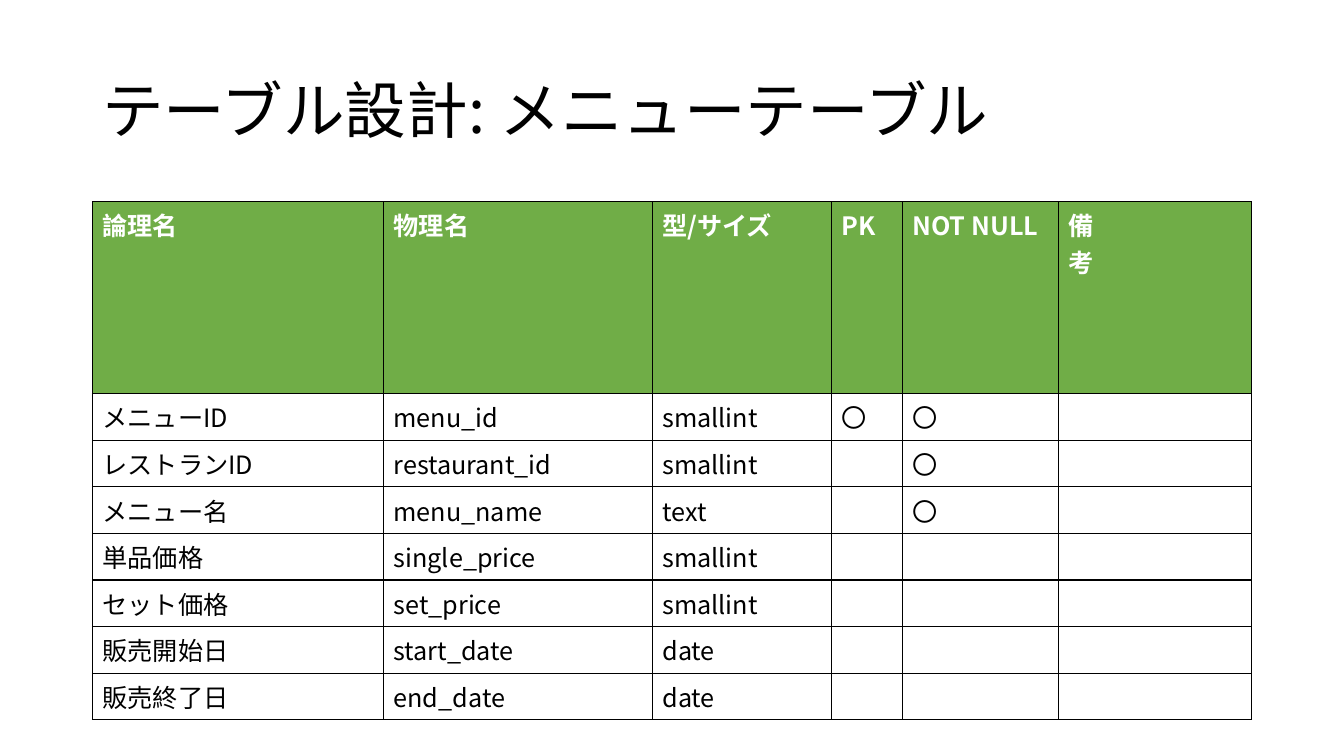
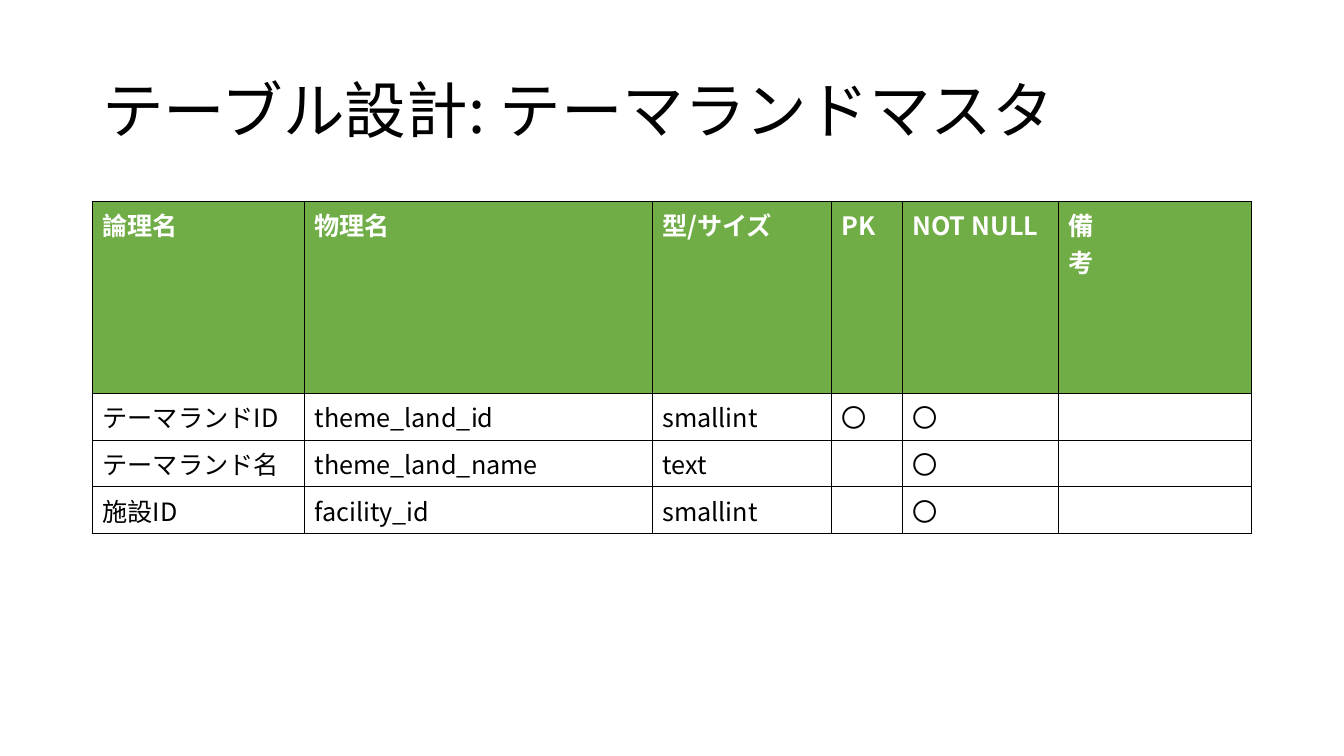
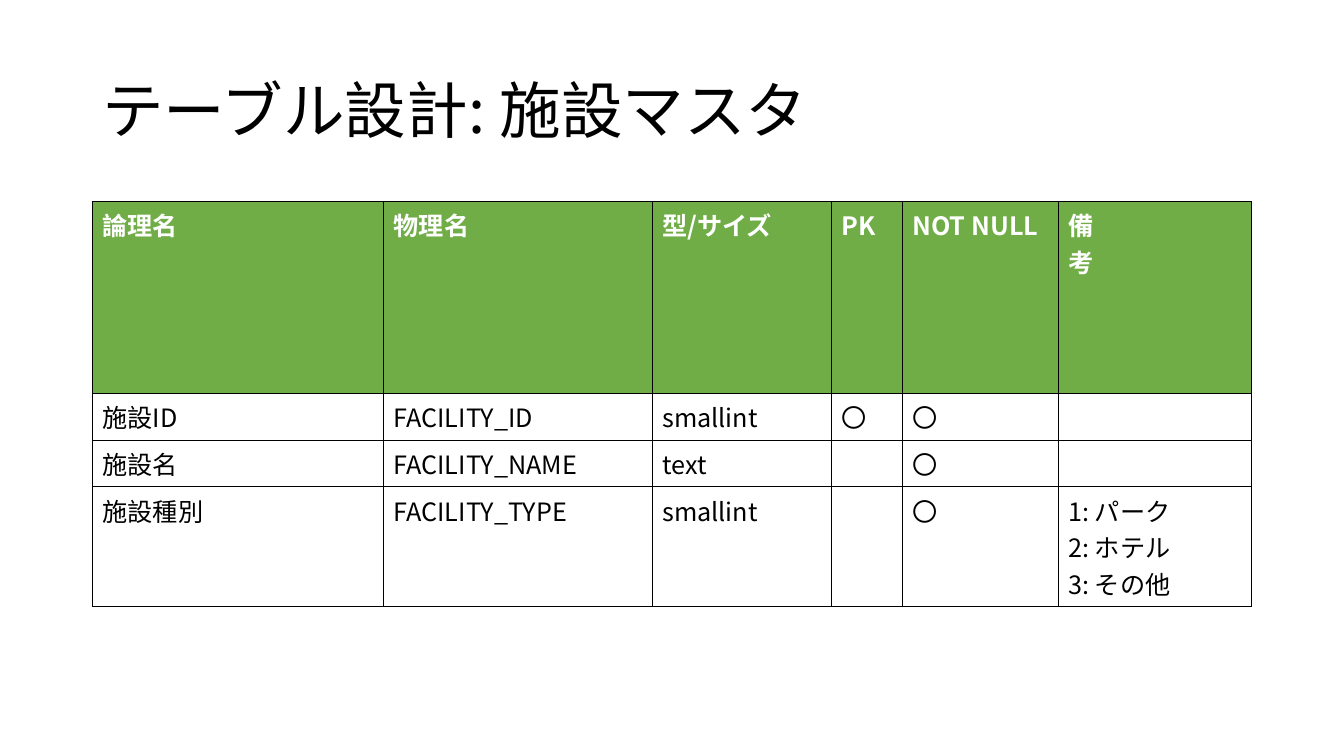
from dataclasses import dataclass

from lxml import etree
from pptx import Presentation
from pptx.dml.color import RGBColor
from pptx.enum.text import MSO_ANCHOR
from pptx.oxml.ns import qn
from pptx.util import Pt

MIDDLE = MSO_ANCHOR.MIDDLE


@dataclass(frozen=True)
class Theme:
    font: str = "Noto Sans CJK JP"
    text: str = "000000"
    header_text: str = "FFFFFF"
    header_fill: str = "70AD47"
    body_fill: str = "FFFFFF"
    border: str = "000000"
    border_width: float = 1
    title_size: float = 44
    table_size: float = 18


@dataclass(frozen=True)
class Field:
    logical: str
    physical: str
    kind: str
    pk: bool = False
    not_null: bool = False
    note: str = ""

    def texts(self) -> list[str]:
        marks = ["〇" if flag else "" for flag in (self.pk, self.not_null)]
        return [self.logical, self.physical, self.kind, *marks, self.note]

    def height(self) -> float:
        return ROW_H + LINE_H * self.note.count("\n")


@dataclass(frozen=True)
class TableDesign:
    name: str
    fields: list[Field]
    logical_width: float = 208


THEME = Theme()

# Layout in points
SLIDE_W, SLIDE_H = 960, 540
LEFT, WIDTH = 66, 828
TITLE_TOP, TITLE_H = 28.8, 104.4
TABLE_TOP, HEADER_H = 144, 137.2
ROW_H, LINE_H = 33.3, 26.2  # one-line row, and each further line in it
NAMES_W = 400  # logical and physical name columns together
OTHER_WIDTHS = [128, 50.6, 111.4, 138]
NOTE_HEADER_MARGIN = 100  # stacks the last heading vertically

HEADERS = ["論理名", "物理名", "型/サイズ", "PK", "NOT NULL", "備考"]

DESIGNS = [
    TableDesign("メニューテーブル", [
        Field("メニューID", "menu_id", "smallint", pk=True, not_null=True),
        Field("レストランID", "restaurant_id", "smallint", not_null=True),
        Field("メニュー名", "menu_name", "text", not_null=True),
        Field("単品価格", "single_price", "smallint"),
        Field("セット価格", "set_price", "smallint"),
        Field("販売開始日", "start_date", "date"),
        Field("販売終了日", "end_date", "date"),
    ]),
    TableDesign("テーマランドマスタ", [
        Field("テーマランドID", "theme_land_id", "smallint", pk=True, not_null=True),
        Field("テーマランド名", "theme_land_name", "text", not_null=True),
        Field("施設ID", "facility_id", "smallint", not_null=True),
    ], logical_width=151.5),
    TableDesign("施設マスタ", [
        Field("施設ID", "FACILITY_ID", "smallint", pk=True, not_null=True),
        Field("施設名", "FACILITY_NAME", "text", not_null=True),
        Field("施設種別", "FACILITY_TYPE", "smallint", not_null=True,
              note="1: パーク\n2: ホテル\n3: その他"),
    ]),
]


def style_text(tf, size: float, color: str, bold: bool = False) -> None:
    """Set one font on every paragraph, for Latin and East Asian text."""
    for p in tf.paragraphs:
        p.font.size = Pt(size)
        p.font.bold = bold
        p.font.color.rgb = RGBColor.from_string(color)
        p.font.name = THEME.font
        props = p._p.pPr.find(qn("a:defRPr"))
        etree.SubElement(props, qn("a:ea"), typeface=THEME.font)


def set_borders(cell) -> None:
    """Draw the four cell borders, which must precede the fill."""
    props = cell._tc.get_or_add_tcPr()
    for i, side in enumerate(("lnL", "lnR", "lnT", "lnB")):
        line = etree.Element(qn(f"a:{side}"), w=str(Pt(THEME.border_width)))
        fill = etree.SubElement(line, qn("a:solidFill"))
        etree.SubElement(fill, qn("a:srgbClr"), val=THEME.border)
        props.insert(i, line)


def add_title(s, text: str) -> None:
    box = s.shapes.add_textbox(Pt(LEFT), Pt(TITLE_TOP), Pt(WIDTH), Pt(TITLE_H))
    tf = box.text_frame
    tf.word_wrap = True
    tf.vertical_anchor = MIDDLE
    tf.text = text
    tf.paragraphs[0].line_spacing = 0.9
    style_text(tf, THEME.title_size, THEME.text)


def fill_cell(cell, text: str, header: bool) -> None:
    cell.fill.solid()
    fill = THEME.header_fill if header else THEME.body_fill
    cell.fill.fore_color.rgb = RGBColor.from_string(fill)
    set_borders(cell)
    if text:
        cell.text_frame.text = text
        color = THEME.header_text if header else THEME.text
        style_text(cell.text_frame, THEME.table_size, color, bold=header)


def add_design_table(s, design: TableDesign) -> None:
    rows = [HEADERS, *(field.texts() for field in design.fields)]
    heights = [HEADER_H, *(field.height() for field in design.fields)]
    table = s.shapes.add_table(len(rows), len(HEADERS), Pt(LEFT), Pt(TABLE_TOP),
                               Pt(WIDTH), Pt(sum(heights))).table
    table.horz_banding = False

    widths = [design.logical_width, NAMES_W - design.logical_width, *OTHER_WIDTHS]
    for column, width in zip(table.columns, widths):
        column.width = Pt(width)

    for i, (texts, height) in enumerate(zip(rows, heights)):
        table.rows[i].height = Pt(height)
        for j, text in enumerate(texts):
            fill_cell(table.cell(i, j), text, header=i == 0)
    table.cell(0, len(HEADERS) - 1).margin_right = Pt(NOTE_HEADER_MARGIN)


# Build the slides
prs = Presentation()
prs.slide_width, prs.slide_height = Pt(SLIDE_W), Pt(SLIDE_H)
for design in DESIGNS:
    s = prs.slides.add_slide(prs.slide_layouts[6])
    add_title(s, f"テーブル設計: {design.name}")
    add_design_table(s, design)
prs.save("out.pptx")
